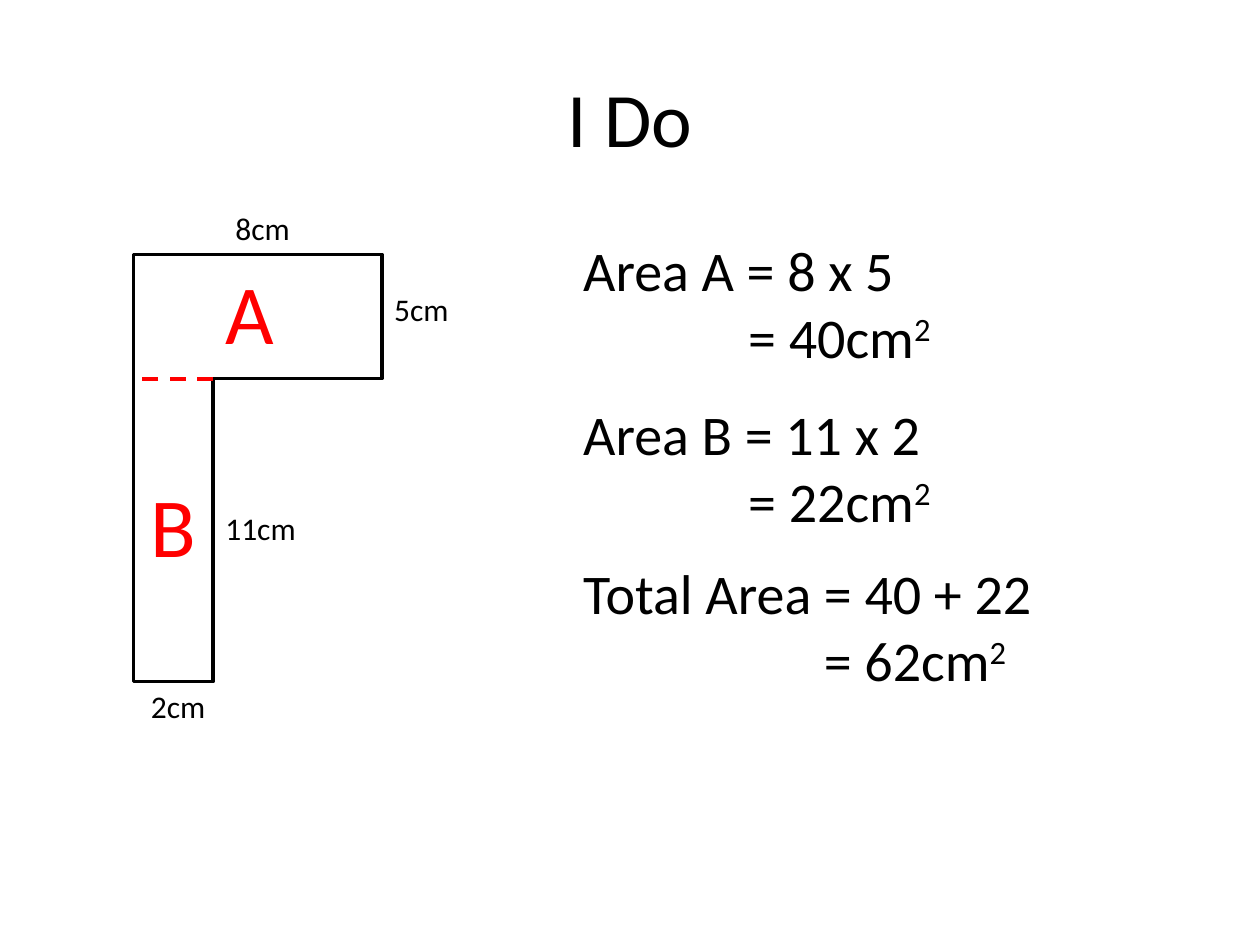
from lxml import etree
from pptx import Presentation
from pptx import util as u
from pptx.dml.color import RGBColor
from pptx.enum import dml, shapes, text
from pptx.oxml.ns import qn

BLACK = RGBColor(0, 0, 0)
RED = RGBColor(255, 0, 0)
WHITE = RGBColor(255, 255, 255)
COLS, ROWS = 100, 75
CELL = u.Inches(0.1)
LEFT, TOP, WIDE, TALL = 10.6, 20.2, 19.7, 33.9
STEM, ARM = 0.32, 0.5


def grid(*cells):
    return [round(cell * CELL) for cell in cells]


def write(slide, words, box, size=18, color=BLACK, align=text.PP_ALIGN.LEFT,
          anchor=text.MSO_ANCHOR.TOP, fit=text.MSO_AUTO_SIZE.SHAPE_TO_FIT_TEXT):
    frame = slide.shapes.add_textbox(*grid(*box)).text_frame
    frame.word_wrap = True
    frame.auto_size = fit
    frame.vertical_anchor = anchor
    for spot, line in enumerate(words.split("\n")):
        para = frame.add_paragraph() if spot else frame.paragraphs[0]
        para.alignment = align
        run = para.add_run()
        run.text = line
        style(run, size, color)
    return frame


def style(run, size, color):
    run.font.name = "Calibri"
    run.font.size = u.Pt(size)
    run.font.color.rgb = color


def sum_up(slide, top, first, total, indent, wide):
    frame = write(slide, f"{first}\n= {total}cm", (45.3, top, wide, 11.8), size=32)
    para = frame.paragraphs[1]
    para._p.get_or_add_pPr().set("marL", str(grid(indent)[0]))
    power = para.add_run()
    power.text = "2"
    style(power, 32, BLACK)
    power.font._element.set("baseline", "30000")


def ell(slide):
    left = LEFT + (WIDE - TALL) / 2
    top = TOP + (TALL - WIDE) / 2
    form = slide.shapes.add_shape(shapes.MSO_SHAPE.CORNER, *grid(left, top, TALL, WIDE))
    form.adjustments[0] = STEM
    form.adjustments[1] = ARM
    form.rotation = 90
    form.shadow.inherit = False
    form.fill.solid()
    form.fill.fore_color.rgb = WHITE
    form.line.color.rgb = BLACK
    form.line.width = u.Pt(2)


def split(slide):
    row = TOP + ARM * WIDE
    ends = grid(LEFT + STEM * WIDE, row, LEFT, row)
    line = slide.shapes.add_connector(shapes.MSO_CONNECTOR.STRAIGHT, *ends)
    line.line.color.rgb = RED
    line.line.width = u.Pt(2.25)
    line.line.dash_style = dml.MSO_LINE.DASH
    etree.SubElement(line._element.spPr, qn("a:effectLst"))


def main():
    deck = Presentation()
    deck.slide_width, deck.slide_height = grid(COLS, ROWS)
    slide = deck.slides.add_slide(deck.slide_layouts[6])
    write(slide, "I Do", (5, 3, 90, 12.5), size=44, align=text.PP_ALIGN.CENTER,
          anchor=text.MSO_ANCHOR.MIDDLE, fit=text.MSO_AUTO_SIZE.NONE)
    ell(slide)
    for words, left, top in (("5cm", 30.3, 22.5), ("11cm", 16.9, 39.9),
                             ("8cm", 17.7, 16.1), ("2cm", 11, 54)):
        write(slide, words, (left, top, 11, 4))
    split(slide)
    for words, left, top in (("A", 16.9, 20.2), ("B", 11, 37.1)):
        write(slide, words, (left, top, 8.7, 9.1), size=48, color=RED)
    for top, first, total, indent, wide in (
            (18.2, "Area A = 8 x 5", 40, 13.1, 36.2),
            (31.2, "Area B = 11 x 2", 22, 13.1, 36.2),
            (43.8, "Total Area = 40 + 22", 62, 19.1, 40.9)):
        sum_up(slide, top, first, total, indent, wide)
    deck.save("out.pptx")


if __name__ == "__main__":
    main()
